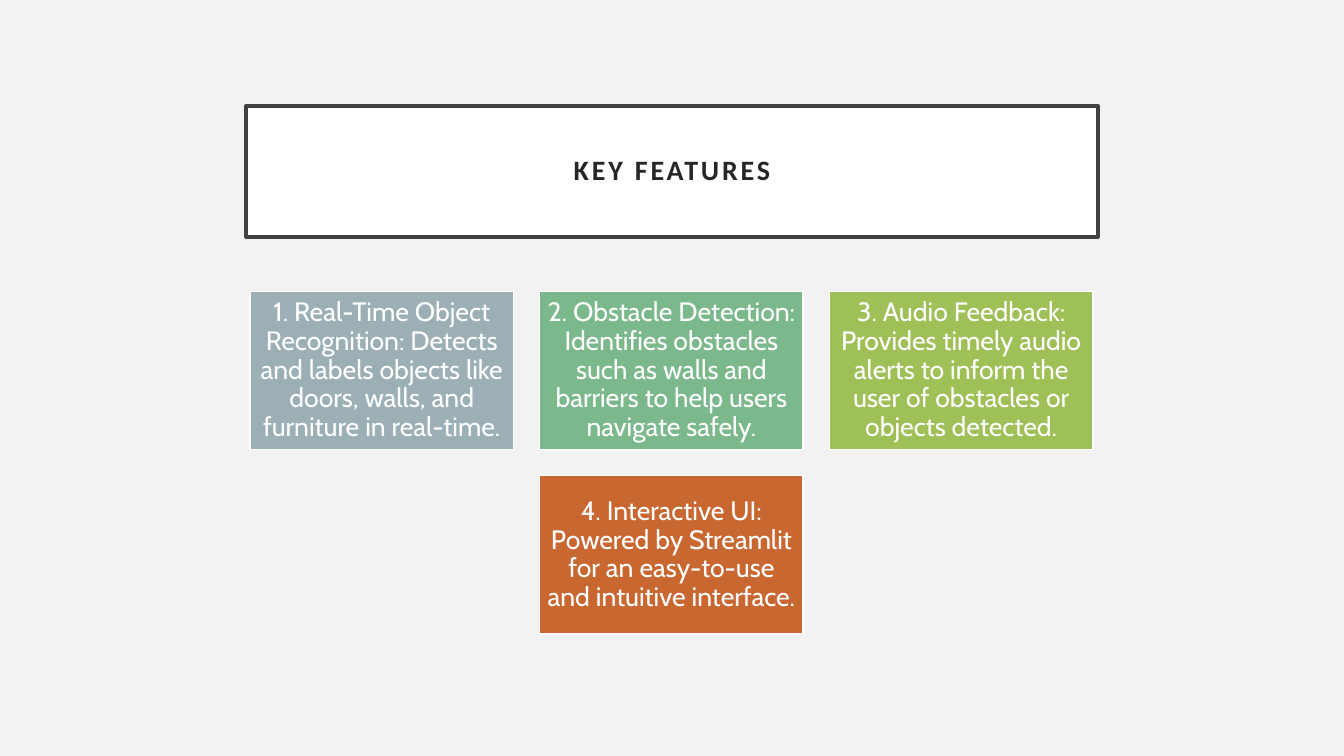
from pptx import Presentation
from pptx.dml.color import RGBColor as RGB
from pptx.enum.shapes import MSO_SHAPE as Shape
from pptx.enum.text import MSO_ANCHOR as Anchor, PP_ALIGN as Align
from pptx.util import Inches, Pt

COLORS = {
    "back": "F2F2F2", "white": "FFFFFF", "frame": "404040", "ink": "262626",
    "gray": "9BAFB5", "green": "7BB88C", "lime": "9FC057", "rust": "C96731",
}
TITLE = {"name": "Calibri", "size": Pt(20), "bold": True}
BODY = {"name": "Cabin", "size": Pt(19), "bold": False}
CARDS = [
    ("gray", "1. Real-Time Object Recognition: Detects and labels objects like doors, walls, and furniture in real-time."),
    ("green", "2. Obstacle Detection: Identifies obstacles such as walls and barriers to help users navigate safely."),
    ("lime", "3. Audio Feedback: Provides timely audio alerts to inform the user of obstacles or objects detected."),
    ("rust", "4. Interactive UI: Powered by Streamlit for an easy-to-use and intuitive interface."),
]


def color(name):
    """Return the named colour."""
    return RGB.from_string(COLORS[name])


def panel(slide, box, fill, edge, width, text, ink, font, inset):
    """Draw a filled rectangle with centred text and return its run."""
    rect = slide.shapes.add_shape(Shape.RECTANGLE, *map(Inches, box))
    rect.shadow.inherit = False
    rect.fill.solid()
    rect.fill.fore_color.rgb = color(fill)
    rect.line.color.rgb = color(edge)
    rect.line.width = Pt(width)
    frame = rect.text_frame
    frame.word_wrap = True
    frame.vertical_anchor = Anchor.MIDDLE
    for side in ("left", "top", "right", "bottom"):
        setattr(frame, f"margin_{side}", Inches(inset))
    para = frame.paragraphs[0]
    para.alignment = Align.CENTER
    para.line_spacing = 0.9
    run = para.add_run()
    run.text = text
    run.font.color.rgb = color(ink)
    for key, value in font.items():
        setattr(run.font, key, value)
    return run


def header(slide, box):
    """Draw the framed title with spaced letters."""
    run = panel(slide, box, "white", "frame", 2.5, "KEY FEATURES", "ink", TITLE, 0.2)
    run.font._element.set("spc", "200")


def grid(slide, box, cols=3, gap=0.26):
    """Lay the cards out in rows, each centred in the box."""
    left, top, width, height = box
    rows = [CARDS[i:i + cols] for i in range(0, len(CARDS), cols)]
    wide = (width - gap * (cols - 1)) / cols
    tall = (height - gap * (len(rows) - 1)) / len(rows)
    for r, row in enumerate(rows):
        start = left + (cols - len(row)) * (wide + gap) / 2
        for c, (fill, text) in enumerate(row):
            place = (start + c * (wide + gap), top + r * (tall + gap), wide, tall)
            panel(slide, place, fill, "white", 1, text, "white", BODY, 0.07)


def main():
    """Build and save the slide."""
    deck = Presentation()
    deck.slide_width, deck.slide_height = Inches(13.33), Inches(7.5)
    slide = deck.slides.add_slide(deck.slide_layouts[6])
    back = slide.background.fill
    back.solid()
    back.fore_color.rgb = color("back")
    header(slide, (2.44, 1.05, 8.45, 1.3))
    grid(slide, (2.48, 2.89, 8.36, 3.4))
    deck.save("out.pptx")


if __name__ == "__main__":
    main()
